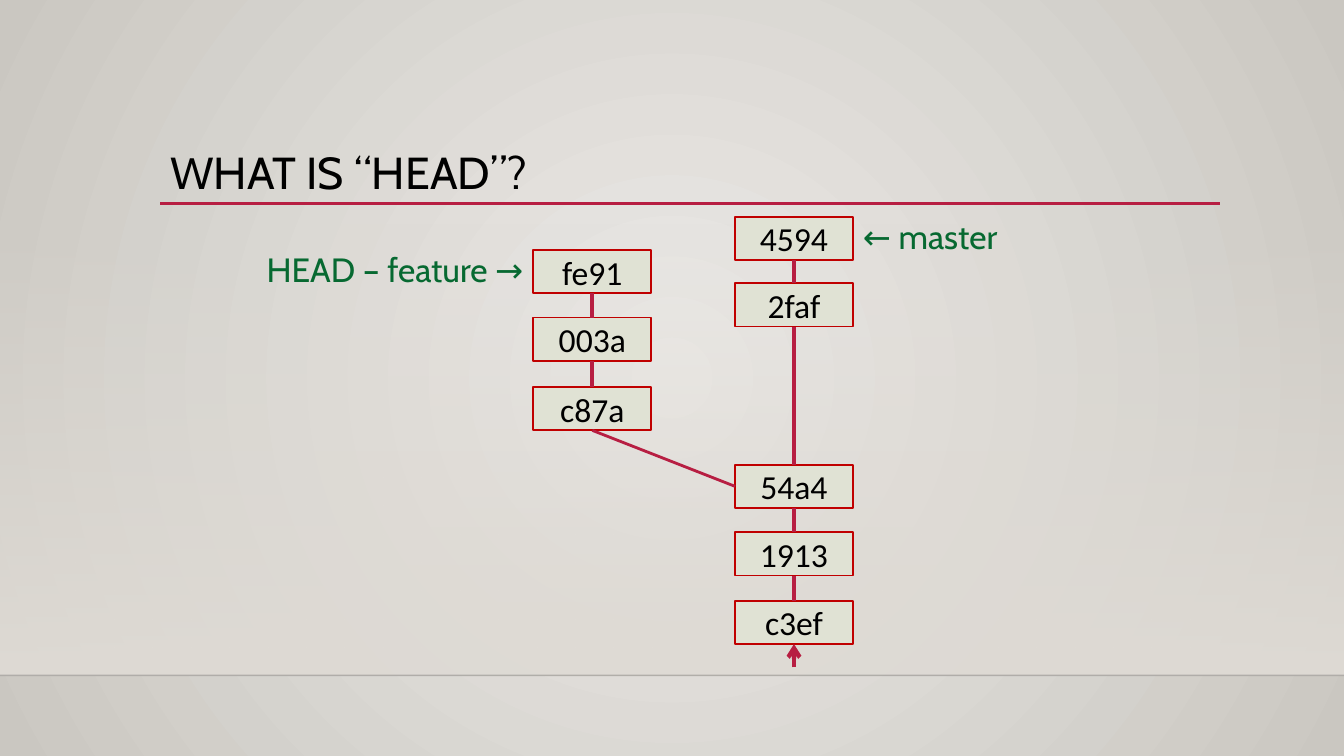
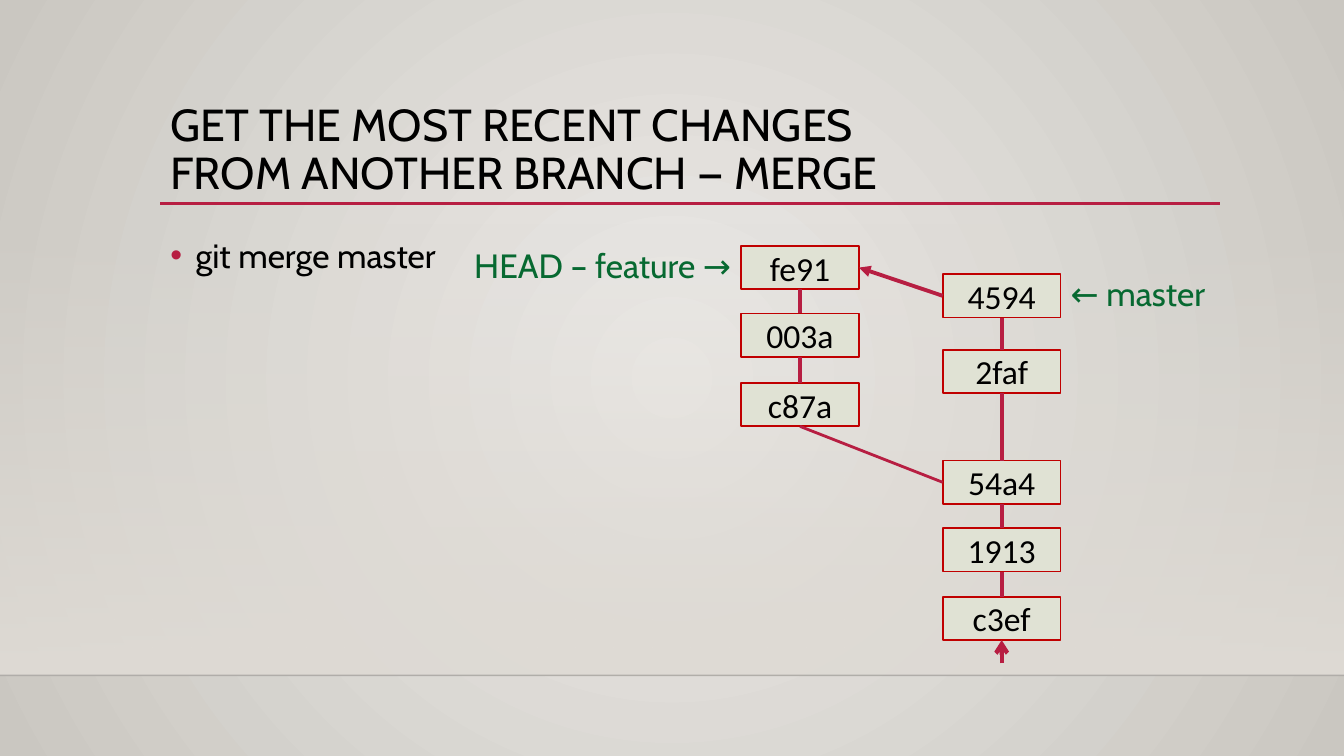
from lxml import etree
from pptx import Presentation
from pptx.dml.color import RGBColor
from pptx.enum.shapes import MSO_CONNECTOR, MSO_SHAPE
from pptx.enum.text import MSO_ANCHOR, MSO_AUTO_SIZE, PP_ALIGN
from pptx.oxml import parse_xml
from pptx.oxml.ns import nsdecls, qn
from pptx.util import Inches, Pt

STRAIGHT = MSO_CONNECTOR.STRAIGHT
RECT = MSO_SHAPE.RECTANGLE
BOTTOM, MIDDLE, TOP = MSO_ANCHOR.BOTTOM, MSO_ANCHOR.MIDDLE, MSO_ANCHOR.TOP
NO_FIT = MSO_AUTO_SIZE.NONE
LEFT, CENTER, RIGHT = PP_ALIGN.LEFT, PP_ALIGN.CENTER, PP_ALIGN.RIGHT

BLACK = RGBColor(0x00, 0x00, 0x00)
HORIZON = RGBColor(0x00, 0x00, 0x01)
CRIMSON = RGBColor(0xB7, 0x1E, 0x42)
RED = RGBColor(0xC0, 0x00, 0x00)
GREEN = RGBColor(0x07, 0x69, 0x31)
SAGE = RGBColor(0xE0, 0xE2, 0xD4)
PAPER_LIGHT = RGBColor(0xEC, 0xEA, 0xE7)
PAPER_DARK = RGBColor(0xCA, 0xC7, 0xC1)
WALL = RGBColor(0xDF, 0xDB, 0xD5)

SLIDE_W, SLIDE_H = 13.33, 7.5
MARGIN, CONTENT_W = 1.59, 10.5
BOX_W, BOX_H = 1.17, 0.43
LABEL_H, LABEL_RISE = 0.5, 0.06
HEAD_W, MASTER_W = 3.84, 1.56
MAIN_DX = 2.06 - 0.06
SITE_TOP, SITE_LEFT, SITE_BOTTOM, SITE_RIGHT = range(4)

RADIAL = ('<a:path path="circle"><a:fillToRect l="50000" t="50000" '
          'r="50000" b="50000"/></a:path>')
DOWNWARD = '<a:lin ang="5400000" scaled="0"/>'


def set_gradient(owner, fill, start, end, direction, start_alpha=100):
    fill.gradient()
    old = next(owner.iter(qn("a:gradFill")))
    new = parse_xml(
        f'<a:gradFill {nsdecls("a")} rotWithShape="1"><a:gsLst>'
        f'<a:gs pos="0"><a:srgbClr val="{start}">'
        f'<a:alpha val="{start_alpha * 1000}"/></a:srgbClr></a:gs>'
        f'<a:gs pos="100000"><a:srgbClr val="{end}"/></a:gs>'
        f'</a:gsLst>{direction}</a:gradFill>')
    old.getparent().replace(old, new)


def add_run(p, text, size, font, color):
    r = p.add_run()
    r.text = text
    r.font.size = Pt(size)
    r.font.name = font
    r.font.color.rgb = color


def add_line(slide, x1, y1, x2, y2, width, color=CRIMSON, head=None):
    line = slide.shapes.add_connector(
        STRAIGHT, Inches(x1), Inches(y1), Inches(x2), Inches(y2))
    line.line.color.rgb = color
    line.line.width = Pt(width)
    if head:
        etree.SubElement(line.line._get_or_add_ln(), qn("a:tailEnd"), type=head)
    etree.SubElement(line.element.spPr, qn("a:effectLst"))
    return line


def add_link(slide, start, start_site, end, end_site, width, head=None):
    line = add_line(slide, 0, 0, 0, 0, width, head=head)
    line.begin_connect(start, start_site)
    line.end_connect(end, end_site)


def dress_master(prs, slide):
    master = prs.slide_master
    set_gradient(master.element, master.background.fill,
                 PAPER_LIGHT, PAPER_DARK, RADIAL)
    wall = slide.shapes.add_shape(
        RECT, 0, Inches(2.21), Inches(SLIDE_W), Inches(4.49))
    wall.shadow.inherit = False
    wall.line.fill.background()
    set_gradient(wall.element, wall.fill, WALL, WALL, DOWNWARD, 0)
    horizon = add_line(slide, 0, 6.7, SLIDE_W, 6.7, 1, HORIZON)
    color = next(horizon.element.spPr.iter(qn("a:srgbClr")))
    etree.SubElement(color, qn("a:alpha"), val="20000")
    rule = add_line(slide, MARGIN, 2.02, 12.1, 2.02, 2.5)
    for i, part in enumerate((wall, horizon, rule)):
        part.element.xpath(".//p:cNvPr")[0].set("id", str(20 + i))
        master.shapes.element.insert(2 + i, part.element)


def place(sp, x, y, w, h):
    sp.left, sp.top, sp.width, sp.height = map(Inches, (x, y, w, h))


def fill_title(slide, lines):
    title = slide.shapes.title
    place(title, MARGIN, 0.88, CONTENT_W, 1.15)
    tf = title.text_frame
    tf.auto_size = NO_FIT
    tf.vertical_anchor = BOTTOM
    p = tf.paragraphs[0]
    p.alignment = LEFT
    p.line_spacing = 0.9
    for i, text in enumerate(lines):
        if i:
            p.add_line_break()
        add_run(p, text, 32, "Cabin", BLACK)


def fill_body(slide, items, x, y, w, h):
    body = slide.placeholders[1]
    place(body, x, y, w, h)
    tf = body.text_frame
    tf.auto_size = NO_FIT
    tf.vertical_anchor = TOP
    for i, text in enumerate(items):
        p = tf.add_paragraph() if i else tf.paragraphs[0]
        pPr = p._p.get_or_add_pPr()
        pPr.set("marL", str(Inches(0.25)))
        pPr.set("indent", str(-Inches(0.25)))
        color = etree.SubElement(pPr, qn("a:buClr"))
        etree.SubElement(color, qn("a:srgbClr"), val=str(CRIMSON))
        etree.SubElement(pPr, qn("a:buChar"), char="•")
        p.line_spacing = 1.2
        p.space_before = Pt(10 if i else 0)
        add_run(p, text, 24, "Cabin", BLACK)


def add_commit(slide, name, x, y):
    sp = slide.shapes.add_shape(
        RECT, Inches(x), Inches(y), Inches(BOX_W), Inches(BOX_H))
    sp.shadow.inherit = False
    sp.fill.solid()
    sp.fill.fore_color.rgb = SAGE
    sp.line.color.rgb = RED
    sp.line.width = Pt(1.25)
    tf = sp.text_frame
    tf.vertical_anchor = MIDDLE
    p = tf.paragraphs[0]
    p.alignment = CENTER
    add_run(p, name, 24, "Calibri", BLACK)
    return sp


def add_label(slide, text, x, y, w, align, wrap):
    tb = slide.shapes.add_textbox(
        Inches(x), Inches(y), Inches(w), Inches(LABEL_H))
    tb.text_frame.word_wrap = wrap
    p = tb.text_frame.paragraphs[0]
    p.alignment = align
    add_run(p, text, 24, "Cabin", GREEN)


def add_branch(slide, x, y, commits):
    boxes = [add_commit(slide, name, x, y + dy) for name, dy in commits]
    for upper, lower in zip(boxes, boxes[1:]):
        add_link(slide, lower, SITE_TOP, upper, SITE_BOTTOM, 3)
    return boxes


def add_commit_graph(slide, x, y, tip_dy, second_dy, merged=False):
    main_x = x + MAIN_DX
    feature = add_branch(
        slide, x, y, [("fe91", 0), ("003a", 0.67), ("c87a", 1.36)])
    main = add_branch(
        slide, main_x, y,
        [("4594", tip_dy), ("2faf", second_dy), ("54a4", 2.13),
         ("1913", 2.8), ("c3ef", 3.48)])
    add_link(slide, main[2], SITE_LEFT, feature[-1], SITE_BOTTOM, 2)
    if merged:
        add_link(slide, main[0], SITE_LEFT, feature[0], SITE_RIGHT,
                 2.75, "triangle")
    root_x, root_y = main_x + BOX_W / 2, y + 3.48 + BOX_H
    add_line(slide, root_x, root_y + 0.23, root_x, root_y, 3, head="arrow")
    add_label(slide, "HEAD – feature →", x - HEAD_W, y - LABEL_RISE,
              HEAD_W, RIGHT, True)
    add_label(slide, "← master", main_x + BOX_W, y + tip_dy - LABEL_RISE,
              MASTER_W, LEFT, False)


def build_head_slide(slide):
    fill_title(slide, ["WHAT IS “HEAD”?"])
    add_commit_graph(slide, 5.29, 2.48, -0.33, 0.33)


def build_merge_slide(slide):
    fill_title(slide, ["GET THE MOST RECENT CHANGES",
                       "FROM ANOTHER BRANCH — MERGE"])
    fill_body(slide, ["git merge master"], MARGIN, 2.2, 2.89, 1.8)
    add_commit_graph(slide, 7.35, 2.44, 0.28, 1.03, merged=True)


def main():
    prs = Presentation()
    prs.slide_width, prs.slide_height = Inches(SLIDE_W), Inches(SLIDE_H)
    head_slide = prs.slides.add_slide(prs.slide_layouts[5])
    dress_master(prs, head_slide)
    build_head_slide(head_slide)
    build_merge_slide(prs.slides.add_slide(prs.slide_layouts[1]))
    prs.save("out.pptx")


if __name__ == "__main__":
    main()
